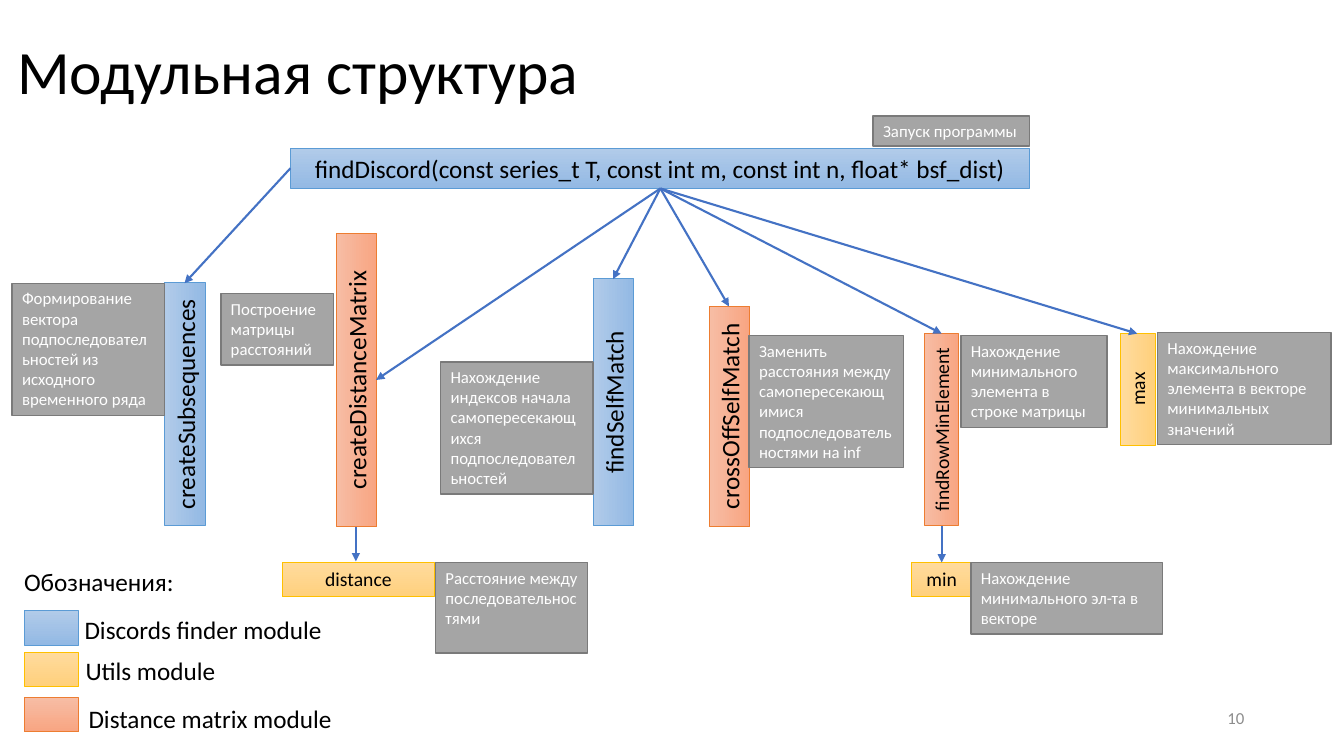
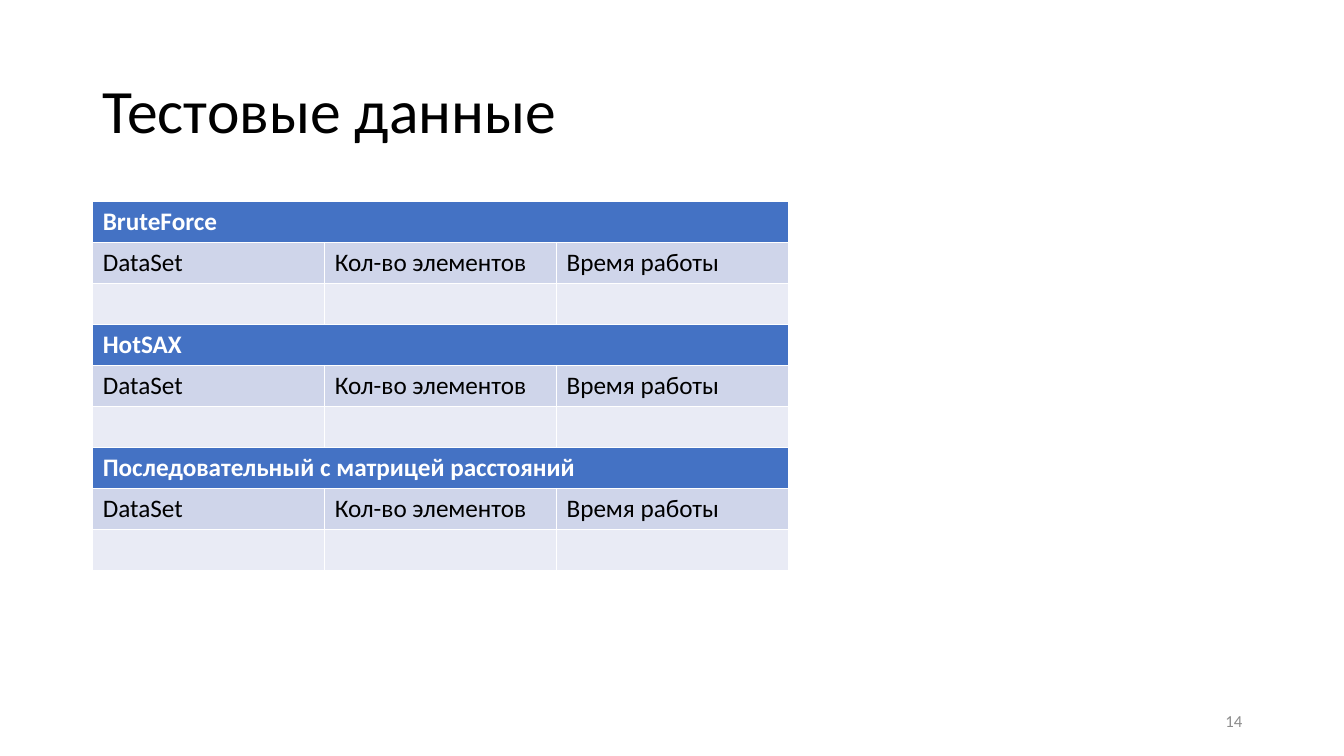
import pptx
import pptx.util
import pptx.dml.color
import pptx.enum.shapes
import pptx.enum.text
import pptx.oxml.ns
import lxml.etree

PX = 9144
RECT = pptx.enum.shapes.MSO_SHAPE.RECTANGLE
STRAIGHT = pptx.enum.shapes.MSO_CONNECTOR.STRAIGHT
ALIGN = pptx.enum.text.PP_ALIGN
ANCHOR = pptx.enum.text.MSO_ANCHOR
RGB = pptx.dml.color.RGBColor.from_string
Pt = pptx.util.Pt
qn = pptx.oxml.ns.qn


class Theme:
    font = "Calibri"
    black, white, grey = "000000", "FFFFFF", "8C8C8C"
    arrow = head = "4472C4"
    bands = "CFD5EA", "E9EBF5"
    note = ("A5A5A5",), "7A7A7A", 1
    blue = ("B1CBE9", "93B9E4"), "5B9BD5", 0.5
    gold = ("FFDB9E", "FFD07C"), "FFC000", 0.5
    coral = ("F7BDA5", "F8A582"), "ED7D31", 0.5
    title, body, label, small = 44, 18, 14, 12


def write(frame, text, size=Theme.body, color=Theme.black, bold=False,
          align=ALIGN.LEFT, anchor=ANCHOR.TOP, space=1.0):
    frame.word_wrap = True
    frame.vertical_anchor = anchor
    line = frame.paragraphs[0]
    line.alignment = align
    line.line_spacing = space
    run = line.add_run()
    run.text = text
    run.font.name = Theme.font
    run.font.size = Pt(size)
    run.font.bold = bold
    run.font.color.rgb = RGB(color)


def draw(slide, look, left, top, width, height, turn=0):
    fills, edge, weight = look
    shape = slide.shapes.add_shape(RECT, left * PX, top * PX, width * PX, height * PX)
    shape.shadow.inherit = False
    shape.rotation = turn
    if len(fills) == 1:
        shape.fill.solid()
        shape.fill.fore_color.rgb = RGB(fills[0])
    else:
        shape.fill.gradient()
        shape.fill.gradient_angle = 270
        for stop, hue in zip(shape.fill.gradient_stops, fills):
            stop.color.rgb = RGB(hue)
    shape.line.color.rgb = RGB(edge)
    shape.line.width = Pt(weight)
    return shape.text_frame


deck = pptx.Presentation()
deck.slide_width = 1333 * PX
deck.slide_height = 750 * PX

slides = []
for name, left, top, page, foot in [
    ("Модульная структура", 7, 1, "10", (944, 692)),
    ("Тестовые данные", 92, 40, "14", (942, 695)),
]:
    slide = deck.slides.add_slide(deck.slide_layouts[5])
    title = slide.shapes.title
    title.left, title.top = left * PX, top * PX
    title.width, title.height = 1150 * PX, 145 * PX
    write(title.text_frame, name, size=Theme.title, anchor=ANCHOR.MIDDLE, space=0.9)
    box = slide.shapes.add_textbox(foot[0] * PX, foot[1] * PX, 300 * PX, 40 * PX)
    write(box.text_frame, page, size=Theme.small, color=Theme.grey,
          align=ALIGN.RIGHT, anchor=ANCHOR.MIDDLE)
    slides.append(slide)
chart, data = slides

for text, look, size, left, top, width, height in [
    ("findDiscord(const series_t T, const int m, const int n, float* bsf_dist)",
     Theme.blue, Theme.body, 288, 147, 733, 40),
    ("distance", Theme.gold, Theme.label, 280, 558, 151, 34),
    ("min", Theme.gold, Theme.label, 904, 558, 60, 34),
]:
    frame = draw(chart, look, left, top, width, height)
    write(frame, text, size=size, align=ALIGN.CENTER)

for text, look, size, mid, top, span, thick in [
    ("createSubsequences", Theme.blue, Theme.body, 183, 281, 241, 40),
    ("createDistanceMatrix", Theme.coral, Theme.body, 353, 232, 291, 40),
    ("findSelfMatch", Theme.blue, Theme.body, 608, 277, 245, 40),
    ("crossOffSelfMatch", Theme.coral, Theme.body, 723, 304, 219, 40),
    ("findRowMinElement", Theme.coral, Theme.label, 934, 331, 190, 34),
    ("max", Theme.gold, Theme.label, 1128, 331, 111, 34),
]:
    frame = draw(chart, look, mid - span // 2, top + (span - thick) // 2, span, thick, turn=270)
    write(frame, text, size=size, align=ALIGN.CENTER)

hub = 655, 187
for start, end in [
    ((288, 167), (183, 281)),
    (hub, (373, 377)),
    (hub, (608, 277)),
    (hub, (723, 304)),
    (hub, (934, 331)),
    (hub, (1128, 331)),
    ((353, 523), (353, 557)),
    ((934, 522), (934, 558)),
]:
    ends = [side * PX for side in start + end]
    arrow = chart.shapes.add_connector(STRAIGHT, *ends)
    arrow.line.color.rgb = RGB(Theme.arrow)
    arrow.line.width = Pt(1.5)
    props = arrow.element.spPr
    lxml.etree.SubElement(props.find(qn("a:ln")), qn("a:tailEnd"), type="triangle")
    lxml.etree.SubElement(props, qn("a:effectLst"))

for text, left, top, width, height in [
    ("Запуск программы", 866, 115, 155, 30),
    ("Формирование вектора подпоследовательностей из исходного временного ряда",
     12, 281, 151, 131),
    ("Построение матрицы расстояний", 219, 291, 112, 71),
    ("Нахождение индексов начала самопересекающихся подпоследовательностей",
     437, 359, 151, 131),
    ("Заменить расстояния между самопересекающимися подпоследовательностями на inf",
     743, 333, 153, 131),
    ("Нахождение минимального элемента в строке матрицы", 953, 333, 145, 91),
    ("Нахождение максимального элемента в векторе минимальных значений",
     1148, 330, 172, 111),
    ("Расстояние между последовательностями", 432, 558, 151, 90),
    ("Нахождение минимального эл-та в векторе", 963, 558, 190, 71),
]:
    frame = draw(chart, Theme.note, left, top, width, height)
    write(frame, text, size=Theme.small, color=Theme.white)

for look, top in [(Theme.blue, 606), (Theme.gold, 647), (Theme.coral, 692)]:
    draw(chart, look, 24, top, 54, 34)

for text, left, top in [
    ("Обозначения:", 14, 557),
    ("Discords finder module", 74, 605),
    ("Utils module", 75, 645),
    ("Distance matrix module", 78, 693),
]:
    box = chart.shapes.add_textbox(left * PX, top * PX, 300 * PX, 40 * PX)
    write(box.text_frame, text)

heads = "DataSet", "Кол-во элементов", "Время работы"
tests = "BruteForce", "HotSAX", "Последовательный с матрицей расстояний"
for order, test in enumerate(tests):
    top = 200 + order * 122
    table = data.shapes.add_table(3, 3, 92 * PX, top * PX, 690 * PX, 122 * PX).table
    for row, hue in enumerate((Theme.head,) + Theme.bands):
        for cell in table.rows[row].cells:
            cell.fill.solid()
            cell.fill.fore_color.rgb = RGB(hue)
    table.cell(0, 0).merge(table.cell(0, 2))
    write(table.cell(0, 0).text_frame, test, color=Theme.white, bold=True)
    for col, text in enumerate(heads):
        write(table.cell(1, col).text_frame, text)

deck.save("out.pptx")
